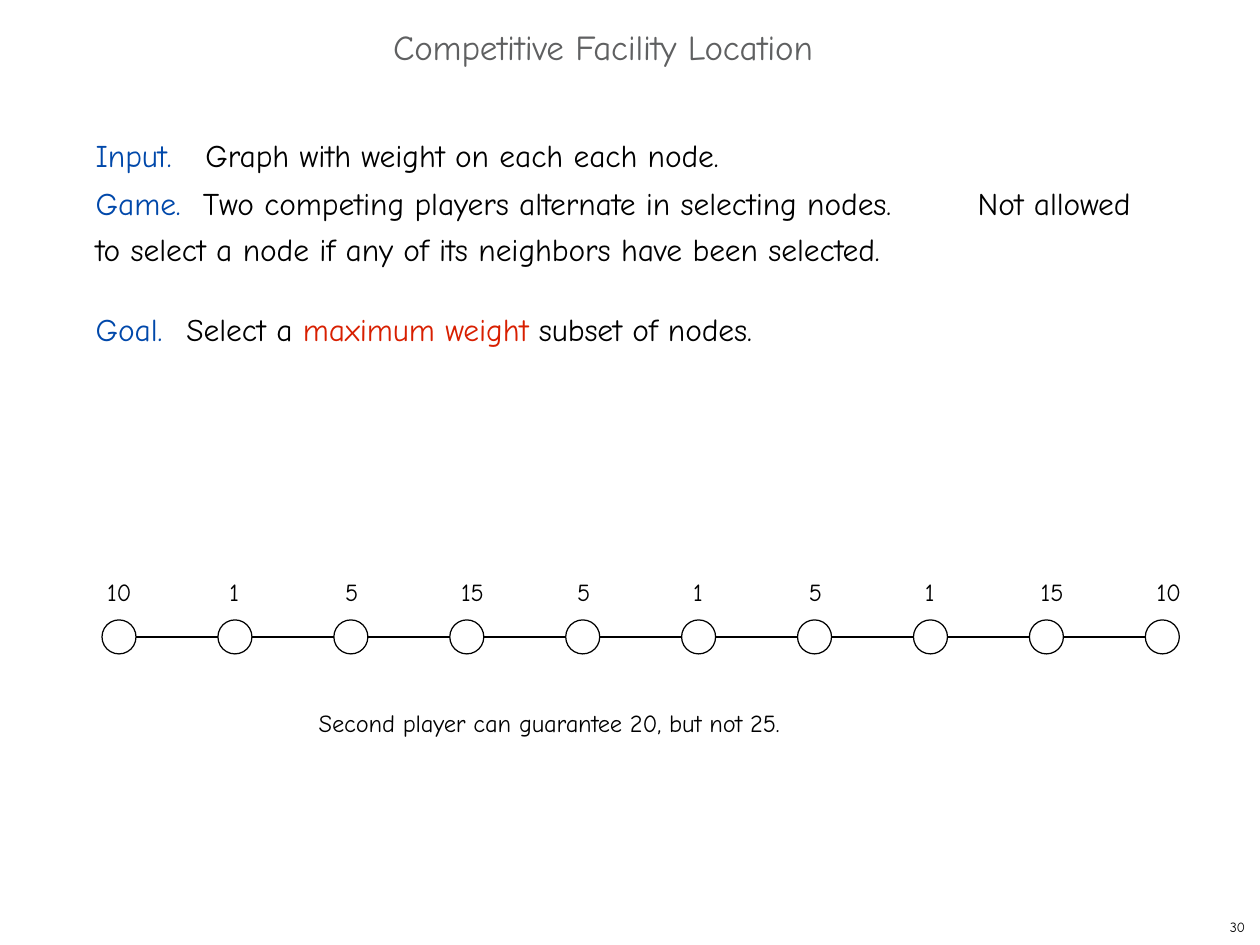
from dataclasses import dataclass

import lxml.etree
import pptx
import pptx.dml.color
import pptx.enum.shapes
import pptx.oxml.ns
import pptx.util
from pptx.util import Inches


@dataclass(frozen=True)
class Theme:
    """Colours, font and type sizes of the slide."""
    font: str = "Comic Neue"
    black: str = "000000"
    gray: str = "5F6061"
    blue: str = "0048AA"
    red: str = "D81F00"
    title: float = 20
    body: float = 18
    label: float = 14
    footer: float = 8
    outline: float = 0.72


THEME = Theme()
WEIGHTS = ["10", "1", "5", "15", "5", "1", "5", "1", "15", "10"]
FIRST_LEFT, PITCH, DIAMETER, NODE_TOP = 0.81, 0.92, 0.27, 4.92


def rgb(color):
    """Turn a hex string into a colour."""
    return pptx.dml.color.RGBColor.from_string(color)


def add_run(paragraph, text, *, size, color=THEME.black, spacing=-10):
    """Append formatted text to a paragraph."""
    run = paragraph.add_run()
    run.text = text
    run.font.name = THEME.font
    run.font.size = pptx.util.Pt(size)
    run.font.color.rgb = rgb(color)
    run.font._element.set("spc", str(spacing))


def add_text_frame(slide, left, top, width, height, inset_left=0.01, inset_top=0.01):
    """Add a wrapping text box and return its text frame."""
    box = slide.shapes.add_textbox(Inches(left), Inches(top), Inches(width), Inches(height))
    frame = box.text_frame
    frame.word_wrap = True
    frame.margin_left, frame.margin_top = Inches(inset_left), Inches(inset_top)
    frame.margin_right = frame.margin_bottom = 0
    return frame


def add_label(slide, text, left, top, width, height, inset_left=0.01, **style):
    """Add a text box holding one run."""
    frame = add_text_frame(slide, left, top, width, height, inset_left)
    add_run(frame.paragraphs[0], text, **style)


def add_tab_stops(paragraph, positions):
    """Set left tab stops given in inches."""
    tag = pptx.oxml.ns.qn
    tab_list = lxml.etree.SubElement(paragraph._p.get_or_add_pPr(), tag("a:tabLst"))
    for position in positions:
        lxml.etree.SubElement(tab_list, tag("a:tab"), pos=str(Inches(position)), algn="l")


def add_statement(paragraph, tab_stops, heading, parts):
    """Fill a paragraph with a blue heading and coloured parts."""
    add_tab_stops(paragraph, tab_stops)
    for text, color in [(heading + "\t", THEME.blue), *parts]:
        add_run(paragraph, text, size=THEME.body, color=color, spacing=-5)


def add_problem(slide):
    """Add the input, game and goal statements."""
    frame = add_text_frame(slide, 0.75, 1.01, 8.39, 1.83, inset_top=0.07)
    add_statement(frame.paragraphs[0], [0.87], "Input.",
                  [("Graph with weight on each each node.", THEME.black)])
    game = frame.add_paragraph()
    game.line_spacing = pptx.util.Pt(26.2)
    game.space_before = pptx.util.Pt(1.4)
    add_statement(game, [0.85, 7], "Game.", [
        ("Two competing players alternate in selecting nodes.\tNot allowed "
         "to select a node if any of its neighbors have been selected.", THEME.black)])
    goal = frame.add_paragraph()
    goal.space_before = pptx.util.Pt(24)
    add_statement(goal, [0.72], "Goal.", [
        ("Select a ", THEME.black),
        ("maximum weight", THEME.red),
        (" subset of nodes.", THEME.black)])


def add_node(slide, left):
    """Add an outlined graph node."""
    node = slide.shapes.add_shape(
        pptx.enum.shapes.MSO_SHAPE.OVAL,
        Inches(left), Inches(NODE_TOP), Inches(DIAMETER), Inches(DIAMETER))
    node.shadow.inherit = False
    node.fill.background()
    node.line.color.rgb = rgb(THEME.black)
    node.line.width = pptx.util.Pt(THEME.outline)


def add_edge(slide, start, end):
    """Add a horizontal edge between two nodes."""
    middle = Inches(NODE_TOP + DIAMETER / 2)
    edge = slide.shapes.add_connector(
        pptx.enum.shapes.MSO_CONNECTOR.STRAIGHT, Inches(start), middle, Inches(end), middle)
    edge.line.color.rgb = rgb(THEME.black)
    edge.line.width = pptx.util.Pt(THEME.outline)
    lxml.etree.SubElement(edge._element.spPr, pptx.oxml.ns.qn("a:effectLst"))


def add_graph(slide):
    """Add the path of weighted nodes."""
    for index, weight in enumerate(WEIGHTS):
        left = FIRST_LEFT + index * PITCH
        add_node(slide, left)
        if index:
            add_edge(slide, left - PITCH + DIAMETER, left)
        label_shift = 0.08 if index else 0.03
        add_label(slide, weight, left + label_shift, 4.57, 0.25, 0.26, size=THEME.label)


def main():
    """Build and save the slide."""
    presentation = pptx.Presentation()
    presentation.slide_width, presentation.slide_height = Inches(10), Inches(7.5)
    slide = presentation.slides.add_slide(presentation.slide_layouts[6])
    add_label(slide, "Competitive Facility Location", 3.11, 0.19, 3.77, 0.36,
              size=THEME.title, color=THEME.gray)
    add_problem(slide)
    add_graph(slide)
    add_label(slide, "Second player can guarantee 20, but not 25.", 2.52, 5.61, 4.04, 0.26,
              size=THEME.label)
    add_label(slide, "30", 9.72, 7.28, 0.22, 0.18, inset_left=0.04, size=THEME.footer)
    presentation.save("out.pptx")


if __name__ == "__main__":
    main()
